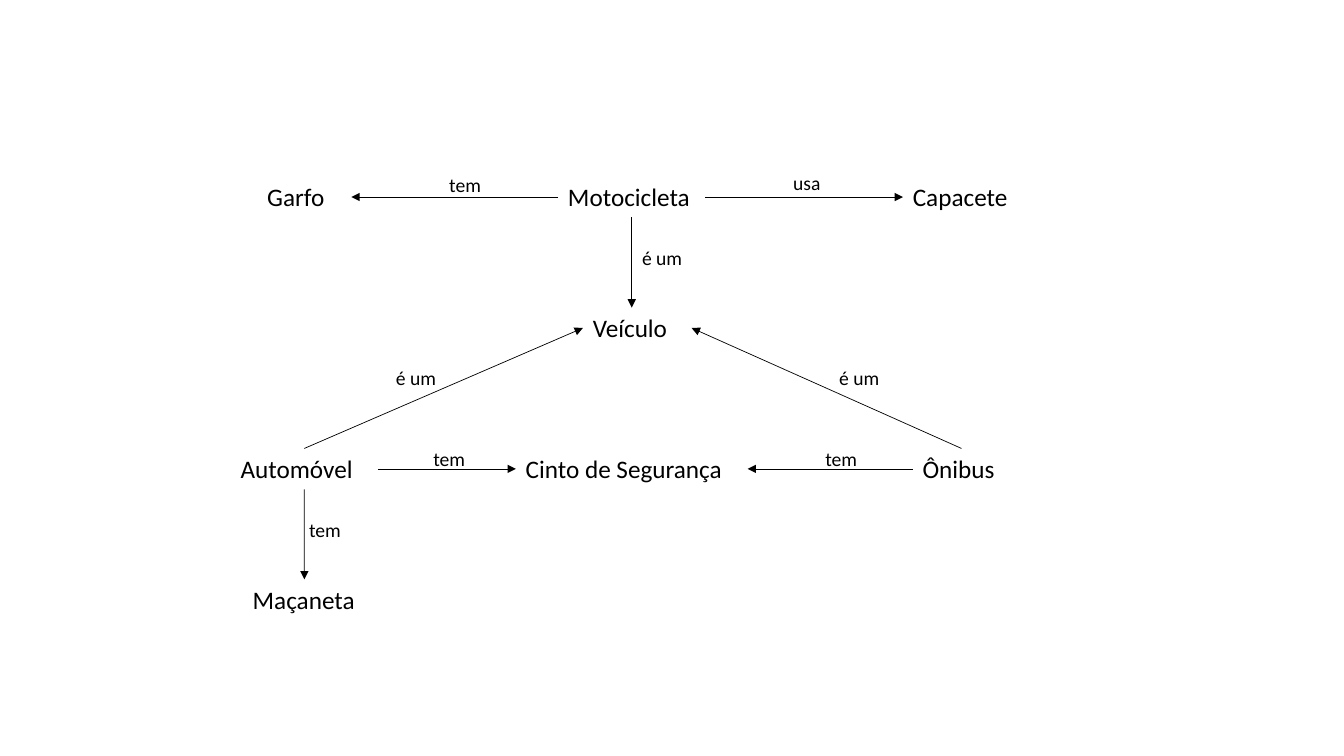
from dataclasses import dataclass

import pptx
import pptx.dml.color
import pptx.enum.shapes
import pptx.enum.text
import pptx.oxml
import pptx.oxml.ns
import pptx.util

Cm = pptx.util.Cm
Pt = pptx.util.Pt


@dataclass(frozen=True)
class Theme:
    """Colour, font and sizes of the concept map."""
    ink: object = pptx.dml.color.RGBColor(0, 0, 0)
    font: str = "Calibri"
    node: object = Pt(18)
    label: object = Pt(14)
    line: object = Pt(0.5)


THEME = Theme()

# Column centres, row tops and box heights, in centimetres
COLS = (7.67, 15.92, 24.23)
ROWS = (4.45, 7.75, 11.3, 14.6)
NODE_H = 1.03
LABEL_H = 0.86

# Connection sites of a box
TOP, LEFT, BOTTOM, RIGHT = range(4)

# Concept, column, row, width
NODES = (
    ("Garfo", 0, 0, 2.37),
    ("Motocicleta", 1, 0, 3.71),
    ("Capacete", 2, 0, 2.95),
    ("Veículo", 1, 1, 2.46),
    ("Automóvel", 0, 2, 3.71),
    ("Cinto de Segurança", 1, 2, 5.84),
    ("Ônibus", 2, 2, 2.46),
    ("Maçaneta", 0, 3, 3.1),
)

# Start, its site, end, its site, gap left before the end
ARROWS = (
    ("Motocicleta", LEFT, "Garfo", RIGHT, 0),
    ("Motocicleta", RIGHT, "Capacete", LEFT, 0),
    ("Motocicleta", BOTTOM, "Veículo", TOP, 0),
    ("Automóvel", TOP, "Veículo", LEFT, 0),
    ("Ônibus", TOP, "Veículo", RIGHT, 0.28),
    ("Automóvel", RIGHT, "Cinto de Segurança", LEFT, 0),
    ("Ônibus", LEFT, "Cinto de Segurança", RIGHT, 0),
    ("Automóvel", BOTTOM, "Maçaneta", TOP, 0),
)

# Relation, left, top, width
LABELS = (
    ("tem", 11.07, 4.24, 1.4),
    ("usa", 19.74, 4.17, 1.47),
    ("é um", 15.93, 6.07, 1.85),
    ("é um", 9.73, 9.09, 1.55),
    ("é um", 20.9, 9.09, 1.55),
    ("tem", 10.67, 11.13, 1.55),
    ("tem", 20.55, 11.13, 1.55),
    ("tem", 7.54, 12.93, 1.4),
)


def add_text(slide, text, left, top, width, height, size):
    """Add a text box, measured in centimetres, and return it."""
    box = slide.shapes.add_textbox(Cm(left), Cm(top), Cm(width), Cm(height))
    frame = box.text_frame
    frame.word_wrap = True
    frame.auto_size = pptx.enum.text.MSO_AUTO_SIZE.SHAPE_TO_FIT_TEXT
    para = frame.paragraphs[0]
    para.text = text
    para.font.name = THEME.font
    para.font.size = size
    para.font.color.rgb = THEME.ink
    return box


def add_node(slide, text, col, row, width):
    """Add a concept centred on its column."""
    left = COLS[col] - width / 2
    return add_text(slide, text, left, ROWS[row], width, NODE_H, THEME.node)


def add_arrow(slide, start, out, end, into, gap):
    """Join two concepts; a gap stops the arrow right of the end."""
    line = slide.shapes.add_connector(
        pptx.enum.shapes.MSO_CONNECTOR.STRAIGHT, 0, 0, 0, 0)
    line.begin_connect(start, out)
    if gap:
        line.end_x = end.left + end.width + Cm(gap)
        line.end_y = end.top + end.height // 2
    else:
        line.end_connect(end, into)
    line.line.color.rgb = THEME.ink
    line.line.width = THEME.line
    props = line._element.spPr
    head = pptx.oxml.parse_xml(
        f'<a:tailEnd {pptx.oxml.ns.nsdecls("a")} type="triangle"/>')
    props.find(pptx.oxml.ns.qn("a:ln")).append(head)
    props.append(pptx.oxml.parse_xml(
        f'<a:effectLst {pptx.oxml.ns.nsdecls("a")}/>'))


def main():
    """Build the concept map and save it."""
    deck = pptx.Presentation()
    deck.slide_width = Cm(33.87)
    deck.slide_height = Cm(19.05)
    slide = deck.slides.add_slide(deck.slide_layouts[6])
    nodes = {node[0]: add_node(slide, *node) for node in NODES}
    for start, out, end, into, gap in ARROWS:
        add_arrow(slide, nodes[start], out, nodes[end], into, gap)
    for label in LABELS:
        add_text(slide, *label, LABEL_H, THEME.label)
    deck.save("out.pptx")


main()
